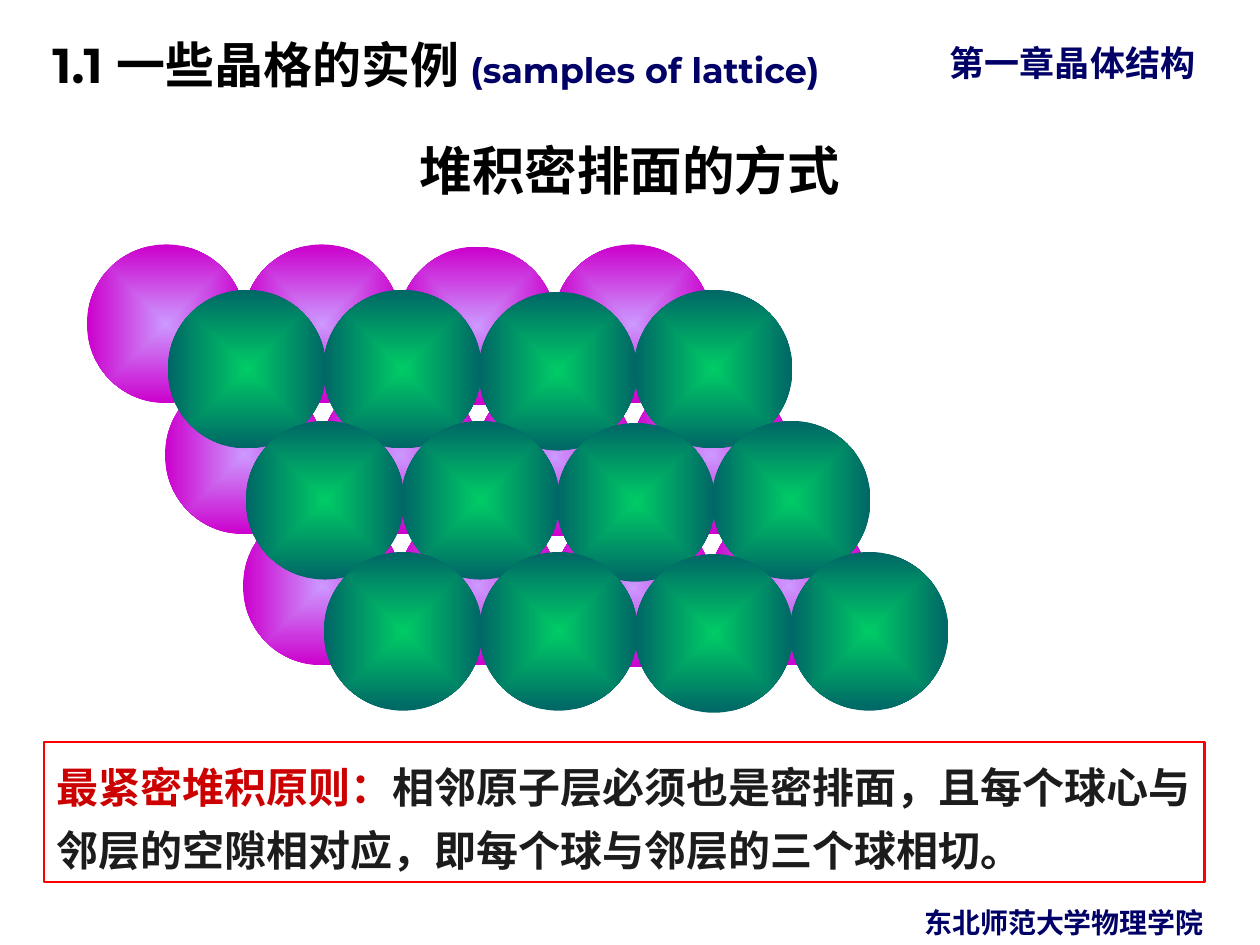
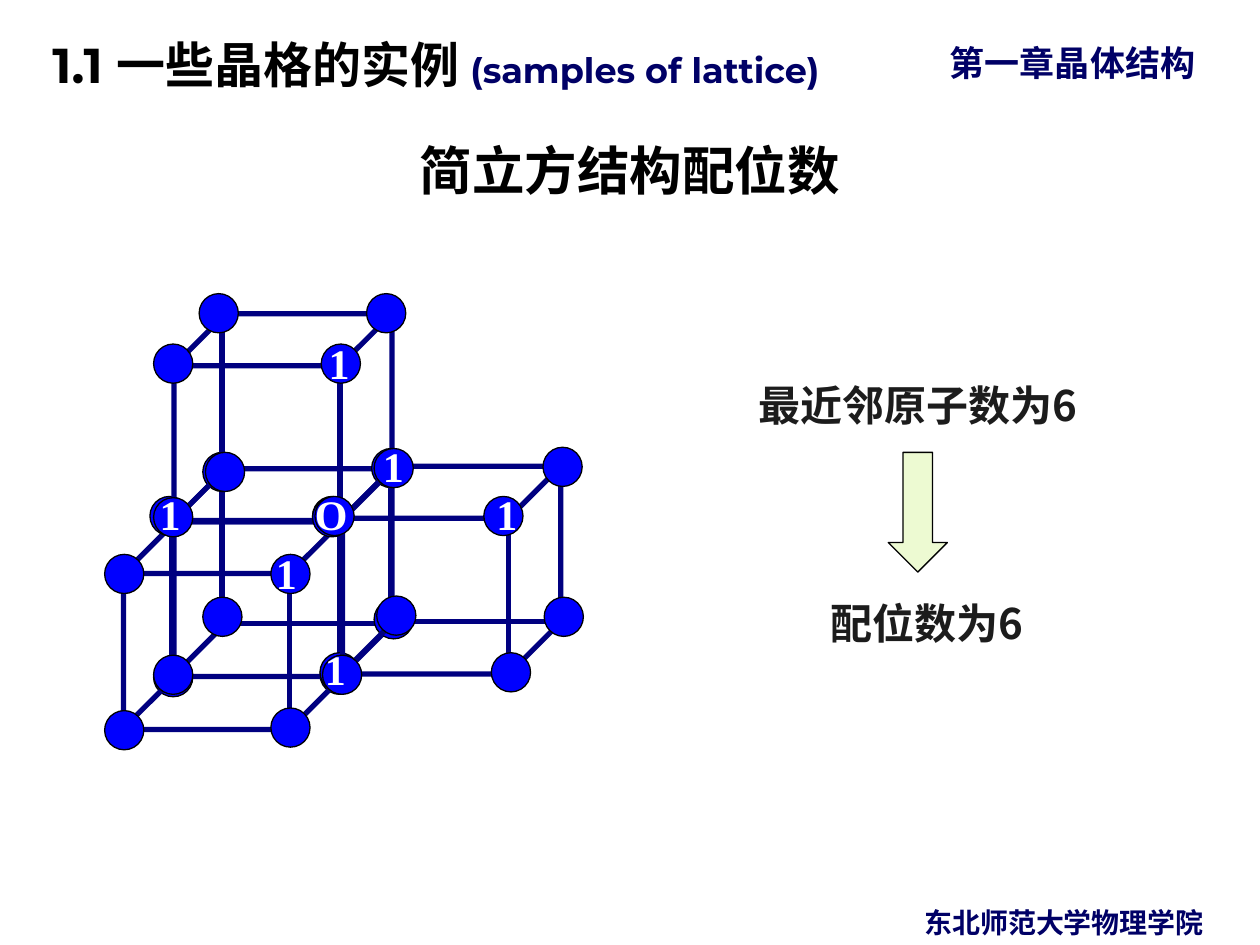
from dataclasses import dataclass

from lxml.etree import SubElement
from pptx import Presentation
from pptx.dml.color import RGBColor
from pptx.enum.shapes import MSO_CONNECTOR, MSO_SHAPE
from pptx.enum.text import MSO_ANCHOR, MSO_AUTO_SIZE, PP_ALIGN
from pptx.oxml.ns import qn
from pptx.shapes.autoshape import Shape
from pptx.shapes.shapetree import GroupShapes
from pptx.slide import Slide
from pptx.util import Pt

COLORS = {
    "navy": "000066", "black": "000000", "white": "FFFFFF", "body": "1C1C1C",
    "emphasis": "CC0000", "frame": "FF0000", "edge": "000080", "atom": "0000FF",
    "arrow": "EDFAD2", "lower_core": "CC99FF", "lower_rim": "CC00CC",
    "upper_core": "00CC66", "upper_rim": "006666",
}
CHINESE = "Noto Sans CJK SC"
LATIN = "Montserrat"
SERIF = "Times New Roman"


@dataclass(frozen=True)
class Box:
    left: float
    top: float
    width: float
    height: float

    def lengths(self) -> tuple:
        return Pt(self.left), Pt(self.top), Pt(self.width), Pt(self.height)


@dataclass(frozen=True)
class TextRun:
    text: str
    size: float
    color: str
    font: str = CHINESE


@dataclass(frozen=True)
class TextBlock:
    box: Box
    runs: tuple
    align: PP_ALIGN = PP_ALIGN.LEFT
    anchor: MSO_ANCHOR = MSO_ANCHOR.TOP
    spacing: float = 1.0
    inset: float = 7.2


@dataclass(frozen=True)
class BallLayer:
    left: float
    top: float
    core: str
    rim: str


@dataclass(frozen=True)
class UnitCell:
    left: float
    top: float
    atoms: tuple


SHARED_BLOCKS = (
    TextBlock(Box(535.7, 20.2, 184.3, 31), (TextRun("第一章晶体结构", 20, "navy"),)),
    TextBlock(
        Box(0, 7.2, 588.2, 49.7),
        (TextRun("1.1 一些晶格的实例 ", 28, "black", LATIN),
         TextRun("(samples of lattice)", 20, "navy", LATIN)),
        anchor=MSO_ANCHOR.MIDDLE, spacing=1.25, inset=30,
    ),
    TextBlock(Box(496.1, 514.1, 223.9, 26.6),
              (TextRun("东北师范大学物理学院", 16, "navy"),), PP_ALIGN.CENTER),
)
TITLE_BOX = Box(36, 65.5, 648, 53.3)

BALL_SIZE = 90.7
BALL_PITCH = 88.8
ROW_SHIFT, ROW_PITCH = 44.6, 74.9
ROW_COUNT = 3
COLUMN_DROPS = (0, 0, 1.2, 0)
BALL_LAYERS = (
    BallLayer(49.7, 139.7, "lower_core", "lower_rim"),
    BallLayer(95.8, 165.6, "upper_core", "upper_rim"),
)
PRINCIPLE = TextBlock(
    Box(25.2, 424.1, 663.1, 79.9),
    (TextRun("最紧密堆积原则：", 24, "emphasis"),
     TextRun("相邻原子层必须也是密排面，且每个球心与邻层的空隙相对应，"
             "即每个球与邻层的三个球相切。", 24, "body")),
    anchor=MSO_ANCHOR.MIDDLE, spacing=1.25,
)

CELL_WIDTH, CELL_HEIGHT = 124.6, 118.8
HIDDEN_EDGES = ((27.4, 0, 27.4, 90.7), (27.4, 88.6, 124.6, 88.6), (31, 87.1, 1.4, 116.6))
ATOM_SIZE = 22.4
UNIT_CELLS = (
    UnitCell(99.4, 267.8, (
        (115.9, 258.5), (115.9, 341.3), (87.8, 375.8), (213.8, 342.7), (182.9, 374.4))),
    UnitCell(70.6, 298.1, (
        (85.7, 283.7), (178.6, 283.7), (87.8, 374.4), (59.8, 316.8),
        (59.8, 406.1), (182.9, 373), (154.8, 316.8), (154.8, 404.6))),
    UnitCell(99.4, 179.3, (
        (212.4, 256.3), (178.6, 284.4), (87.8, 284.4), (209.5, 167.8),
        (113.8, 167.8), (87.8, 196.6), (117.4, 258.5), (183.6, 196.6))),
    UnitCell(195.8, 266.4, (
        (213.8, 256.3), (310.3, 255.6), (180, 283.7), (184.3, 374.4),
        (311, 341.3), (276.5, 283.7), (280.8, 373), (215.3, 340.6))),
)
ATOM_LABELS = (
    ("O", 172.8, 275.8), ("1", 178.6, 364.3), ("1", 211.7, 248.4), ("1", 150.5, 309.6),
    ("1", 276.5, 275.8), ("1", 84.2, 275.8), ("1", 180.7, 189.4),
)
COORDINATION_BLOCKS = (
    TextBlock(Box(411.1, 213.1, 226.8, 36),
              (TextRun("最近邻原子数为6", 24, "body"),), PP_ALIGN.CENTER),
    TextBlock(Box(433.4, 337.7, 193, 36),
              (TextRun("配位数为6", 24, "body"),), PP_ALIGN.CENTER),
)
ARROW_BOX = Box(507.6, 258.5, 33.8, 68.4)


def rgb(name: str) -> RGBColor:
    return RGBColor.from_string(COLORS[name])


def write_text(shape: Shape, block: TextBlock) -> None:
    frame = shape.text_frame
    frame.word_wrap = True
    frame.auto_size = MSO_AUTO_SIZE.NONE
    frame.vertical_anchor = block.anchor
    frame.margin_left = Pt(block.inset)
    paragraph = frame.paragraphs[0]
    paragraph.alignment = block.align
    paragraph.line_spacing = block.spacing
    for item in block.runs:
        run = paragraph.add_run()
        run.text = item.text
        run.font.size = Pt(item.size)
        run.font.bold = True
        run.font.color.rgb = rgb(item.color)
        run.font.name = item.font
        east_asian = SubElement(run._r.get_or_add_rPr(), qn("a:ea"))
        east_asian.set("typeface", CHINESE)


def add_text(slide: Slide, block: TextBlock) -> None:
    write_text(slide.shapes.add_textbox(*block.box.lengths()), block)


def add_figure(shapes: GroupShapes, kind: MSO_SHAPE, box: Box, fill: str = "",
               line: str = "", line_width: float = 0.75) -> Shape:
    shape = shapes.add_shape(kind, *box.lengths())
    shape.shadow.inherit = False
    if fill:
        shape.fill.solid()
        shape.fill.fore_color.rgb = rgb(fill)
    else:
        shape.fill.background()
    if line:
        shape.line.color.rgb = rgb(line)
        shape.line.width = Pt(line_width)
    else:
        shape.line.fill.background()
    return shape


def fill_from_centre(shape: Shape, core: str, rim: str) -> None:
    shape.fill.gradient()
    for stop, color, position in zip(shape.fill.gradient_stops, (core, rim), (0, 1)):
        stop.color.rgb = rgb(color)
        stop.position = position
    gradient = shape._element.spPr.find(qn("a:gradFill"))
    gradient.remove(gradient.find(qn("a:lin")))
    centre = SubElement(gradient, qn("a:path"))
    centre.set("path", "shape")
    target = SubElement(centre, qn("a:fillToRect"))
    for side in "ltrb":
        target.set(side, "50000")


def add_edge(shapes: GroupShapes, x1: float, y1: float, x2: float, y2: float) -> None:
    edge = shapes.add_connector(MSO_CONNECTOR.STRAIGHT, Pt(x1), Pt(y1), Pt(x2), Pt(y2))
    edge.line.color.rgb = rgb("edge")
    edge.line.width = Pt(3)
    SubElement(edge._element.spPr, qn("a:effectLst"))


def add_ball_layer(slide: Slide, layer: BallLayer) -> None:
    shapes = slide.shapes.add_group_shape().shapes
    for row in range(ROW_COUNT):
        for column, drop in enumerate(COLUMN_DROPS):
            box = Box(layer.left + column * BALL_PITCH + row * ROW_SHIFT,
                      layer.top + row * ROW_PITCH + drop, BALL_SIZE, BALL_SIZE)
            ball = add_figure(shapes, MSO_SHAPE.OVAL, box)
            fill_from_centre(ball, layer.core, layer.rim)


def add_unit_cell(slide: Slide, cell: UnitCell) -> None:
    shapes = slide.shapes.add_group_shape().shapes
    add_figure(shapes, MSO_SHAPE.CUBE, Box(cell.left, cell.top, CELL_WIDTH, CELL_HEIGHT),
               line="edge", line_width=3)
    for x1, y1, x2, y2 in HIDDEN_EDGES:
        add_edge(shapes, cell.left + x1, cell.top + y1, cell.left + x2, cell.top + y2)
    for left, top in cell.atoms:
        add_figure(shapes, MSO_SHAPE.OVAL, Box(left, top, ATOM_SIZE, ATOM_SIZE),
                   "atom", "black")


def add_lattice_slide(presentation: Presentation, title: str) -> Slide:
    slide = presentation.slides.add_slide(presentation.slide_layouts[5])
    placeholder = slide.shapes.title
    placeholder.left, placeholder.top, placeholder.width, placeholder.height = TITLE_BOX.lengths()
    write_text(placeholder, TextBlock(TITLE_BOX, (TextRun(title, 30, "black"),),
                                      PP_ALIGN.CENTER, MSO_ANCHOR.BOTTOM, 0.9))
    for block in SHARED_BLOCKS:
        add_text(slide, block)
    return slide


def build_stacking_slide(presentation: Presentation) -> None:
    slide = add_lattice_slide(presentation, "堆积密排面的方式")
    for layer in BALL_LAYERS:
        add_ball_layer(slide, layer)
    frame = add_figure(slide.shapes, MSO_SHAPE.RECTANGLE, PRINCIPLE.box,
                       line="frame", line_width=1.5)
    write_text(frame, PRINCIPLE)


def build_coordination_slide(presentation: Presentation) -> None:
    slide = add_lattice_slide(presentation, "简立方结构配位数")
    for cell in UNIT_CELLS:
        add_unit_cell(slide, cell)
    for label, left, top in ATOM_LABELS:
        add_text(slide, TextBlock(Box(left, top, 39.6, 36),
                                  (TextRun(label, 24, "white", SERIF),)))
    for block in COORDINATION_BLOCKS:
        add_text(slide, block)
    add_figure(slide.shapes, MSO_SHAPE.DOWN_ARROW, ARROW_BOX, "arrow", "black")


def main() -> None:
    presentation = Presentation()
    presentation.slide_width, presentation.slide_height = Pt(720), Pt(540)
    build_stacking_slide(presentation)
    build_coordination_slide(presentation)
    presentation.save("out.pptx")


if __name__ == "__main__":
    main()
